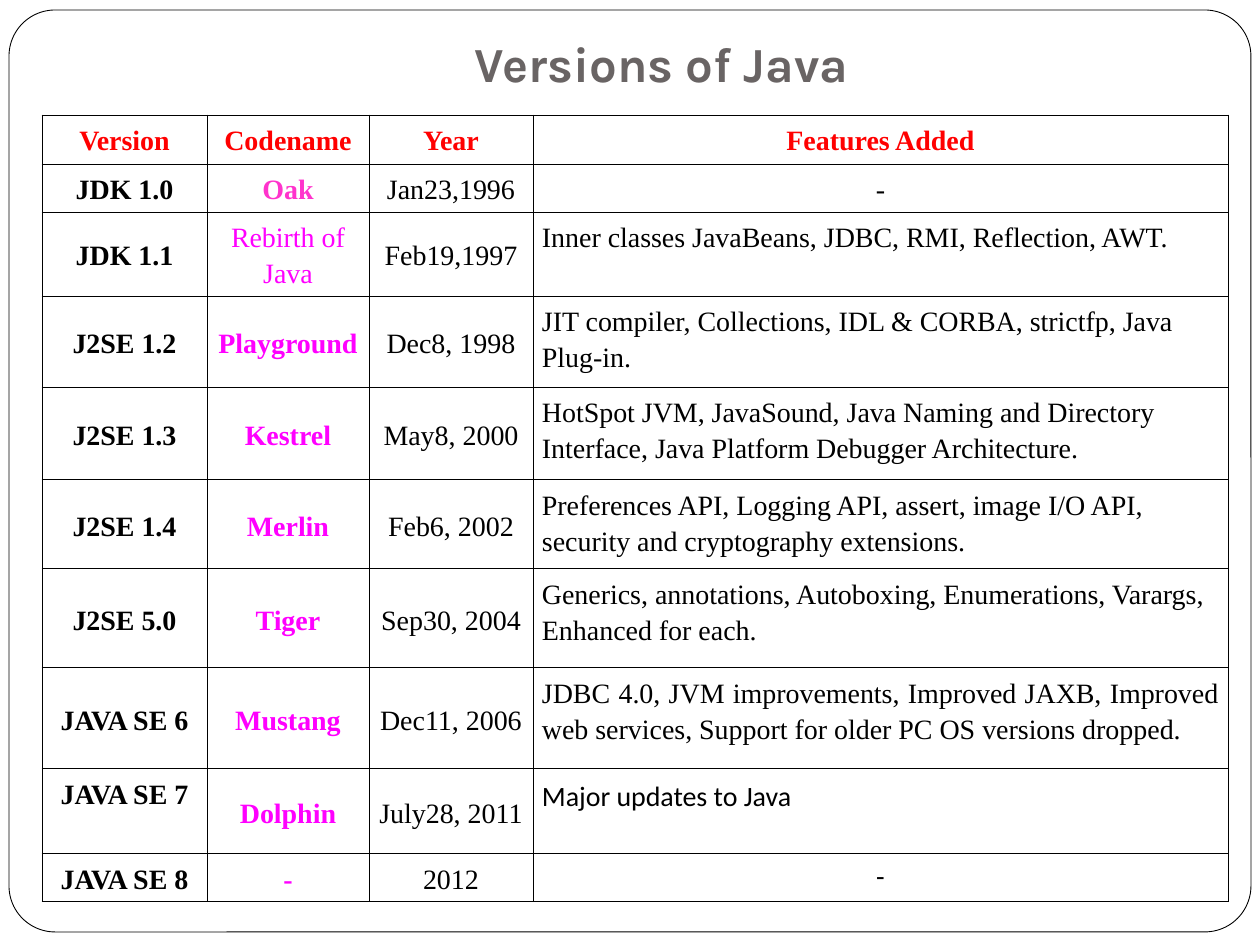
"""Build a slide with a table of Java versions, codenames, dates and features."""
from lxml import etree
from pptx import Presentation
from pptx.dml.color import RGBColor
from pptx.enum.shapes import MSO_SHAPE
from pptx.enum.text import MSO_ANCHOR, PP_ALIGN
from pptx.oxml.ns import qn
from pptx.util import Pt

ROUNDED = MSO_SHAPE.ROUNDED_RECTANGLE
TOP, MIDDLE, BOTTOM = MSO_ANCHOR.TOP, MSO_ANCHOR.MIDDLE, MSO_ANCHOR.BOTTOM
LEFT, CENTER, JUSTIFY = PP_ALIGN.LEFT, PP_ALIGN.CENTER, PP_ALIGN.JUSTIFY

BLACK = RGBColor(0x00, 0x00, 0x00)
WHITE = RGBColor(0xFF, 0xFF, 0xFF)
GRAY = RGBColor(0x69, 0x64, 0x64)
RED = RGBColor(0xFF, 0x00, 0x00)
PINK = RGBColor(0xFF, 0x33, 0xCC)
MAGENTA = RGBColor(0xFF, 0x00, 0xFF)

TITLE = "Versions of Java"
ROWS = [
    ("Version", "Codename", "Year", "Features Added"),
    ("JDK 1.0", "Oak", "Jan23,1996", "-"),
    ("JDK 1.1", "Rebirth of Java", "Feb19,1997",
     "Inner classes JavaBeans, JDBC, RMI, Reflection, AWT."),
    ("J2SE 1.2", "Playground", "Dec8, 1998",
     "JIT compiler, Collections, IDL & CORBA, strictfp, Java Plug-in."),
    ("J2SE 1.3", "Kestrel", "May8, 2000",
     "HotSpot JVM, JavaSound, Java Naming and Directory Interface, "
     "Java Platform Debugger Architecture."),
    ("J2SE 1.4", "Merlin", "Feb6, 2002",
     "Preferences API, Logging API, assert, image I/O API, "
     "security and cryptography extensions."),
    ("J2SE 5.0", "Tiger", "Sep30, 2004",
     "Generics, annotations, Autoboxing, Enumerations, Varargs, Enhanced for each."),
    ("JAVA SE 6", "Mustang", "Dec11, 2006",
     "JDBC 4.0, JVM improvements, Improved JAXB, Improved web services, "
     "Support for older PC OS versions dropped."),
    ("JAVA SE 7", "Dolphin", "July28, 2011", "Major updates to Java"),
    ("JAVA SE 8", "-", "2012", "-"),
]
COLUMN_WIDTHS = [165, 162, 164, 695]
ROW_HEIGHTS = [49, 48, 84, 91, 93, 89, 99, 101, 85, 48]
COLUMN_STYLES = [
    {"color": BLACK, "bold": True, "align": CENTER, "anchor": MIDDLE},
    {"color": MAGENTA, "bold": True, "align": CENTER, "anchor": MIDDLE},
    {"color": BLACK, "bold": False, "align": CENTER, "anchor": MIDDLE},
    {"color": BLACK, "bold": False, "align": LEFT, "anchor": TOP},
]
HEADER_STYLE = {"color": RED, "bold": True, "align": CENTER, "anchor": TOP}
SPECIAL_STYLES = {
    (1, 1): {"color": PINK},
    (1, 3): {"align": CENTER},
    (2, 1): {"bold": False},
    (7, 3): {"align": JUSTIFY},
    (8, 0): {"anchor": TOP},
    (8, 3): {"align": JUSTIFY, "font": "Calibri"},
    (9, 3): {"align": CENTER, "font": "Calibri", "spacing": 1.0},
}


def px(count):
    return round(count * 914400 / 126)


def style_font(font, name, size, color, bold):
    font.name = name
    font.size = Pt(size)
    font.color.rgb = color
    font.bold = bold


def set_margins(holder, left, top, right, bottom):
    holder.margin_left, holder.margin_top = px(left), px(top)
    holder.margin_right, holder.margin_bottom = px(right), px(bottom)


def add_borders(cell):
    properties = cell._tc.get_or_add_tcPr()
    for index, side in enumerate(("a:lnL", "a:lnR", "a:lnT", "a:lnB")):
        line = etree.Element(qn(side), w=str(Pt(0.45)))
        fill = etree.SubElement(line, qn("a:solidFill"))
        etree.SubElement(fill, qn("a:srgbClr"), val=str(BLACK))
        properties.insert(index, line)


def fill_cell(cell, text, style):
    cell.fill.background()
    add_borders(cell)
    set_margins(cell, 9, 6, 9, 6)
    cell.vertical_anchor = style["anchor"]
    cell.text_frame.text = text
    para = cell.text_frame.paragraphs[0]
    para.alignment = style["align"]
    para.line_spacing = style.get("spacing", 1.15)
    name = style.get("font", "Times New Roman")
    style_font(para.runs[0].font, name, 16, style["color"], style["bold"])


def add_frame(page):
    frame = page.shapes.add_shape(ROUNDED, px(9), px(10), px(1242), px(922))
    frame.adjustments[0] = 0.05
    frame.shadow.inherit = False
    frame.fill.solid()
    frame.fill.fore_color.rgb = WHITE
    frame.line.color.rgb = BLACK
    frame.line.width = Pt(0.5)
    page.shapes._spTree.insert(2, frame._element)


def add_title(page):
    title = page.shapes.title
    title.left, title.top, title.width, title.height = px(126), px(21), px(1071), px(84)
    text_frame = title.text_frame
    text_frame.text = TITLE
    text_frame.vertical_anchor = BOTTOM
    set_margins(text_frame, 13, 6, 13, 13)
    para = text_frame.paragraphs[0]
    para.alignment = CENTER
    style_font(para.runs[0].font, "Karla", 28, GRAY, True)


def add_versions(page):
    table = page.shapes.add_table(
        len(ROWS), len(COLUMN_WIDTHS), px(42), px(115),
        px(sum(COLUMN_WIDTHS)), px(sum(ROW_HEIGHTS))).table
    table.first_row = table.horz_banding = False
    for column, width in zip(table.columns, COLUMN_WIDTHS):
        column.width = px(width)
    for row, height in zip(table.rows, ROW_HEIGHTS):
        row.height = px(height)
    for i, texts in enumerate(ROWS):
        for j, text in enumerate(texts):
            base = COLUMN_STYLES[j] if i else HEADER_STYLE
            fill_cell(table.cell(i, j), text, {**base, **SPECIAL_STYLES.get((i, j), {})})


def main():
    deck = Presentation()
    deck.slide_width, deck.slide_height = px(1260), px(945)
    page = deck.slides.add_slide(deck.slide_layouts[5])
    add_frame(page)
    add_title(page)
    add_versions(page)
    deck.save("out.pptx")


if __name__ == "__main__":
    main()
